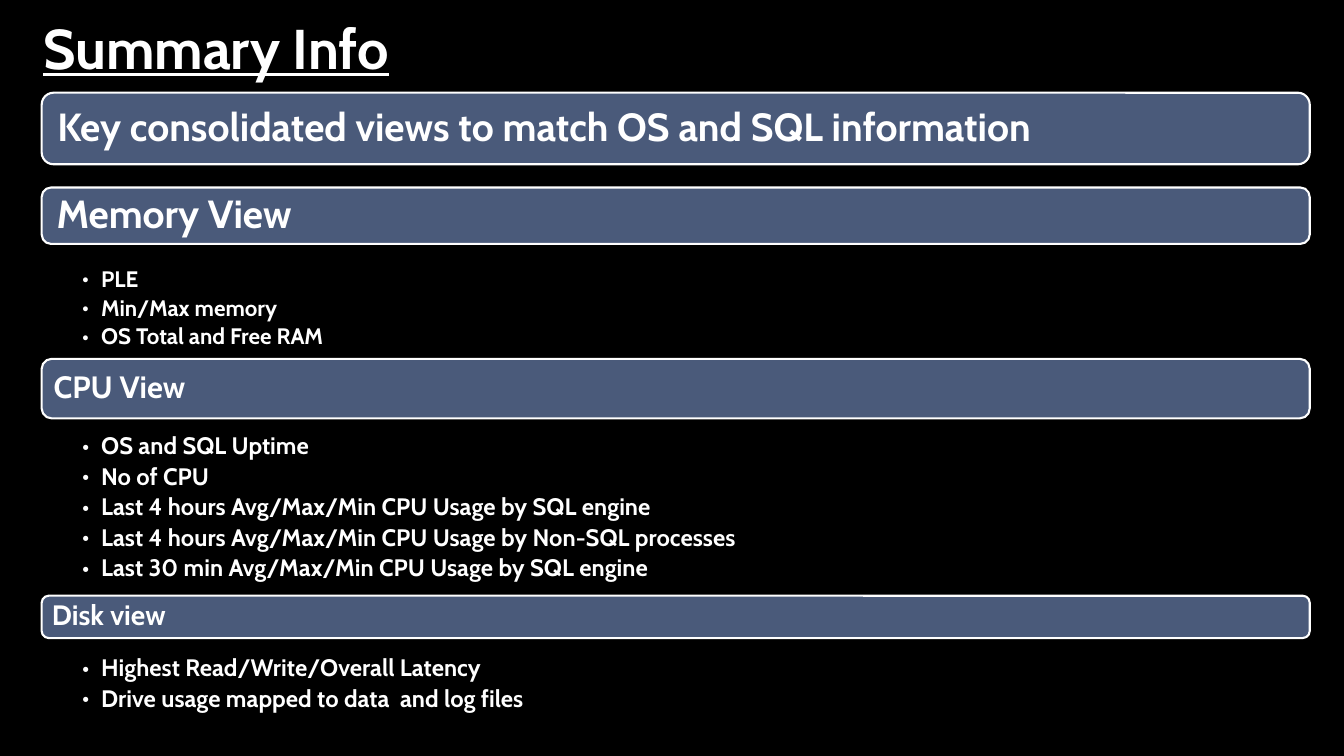
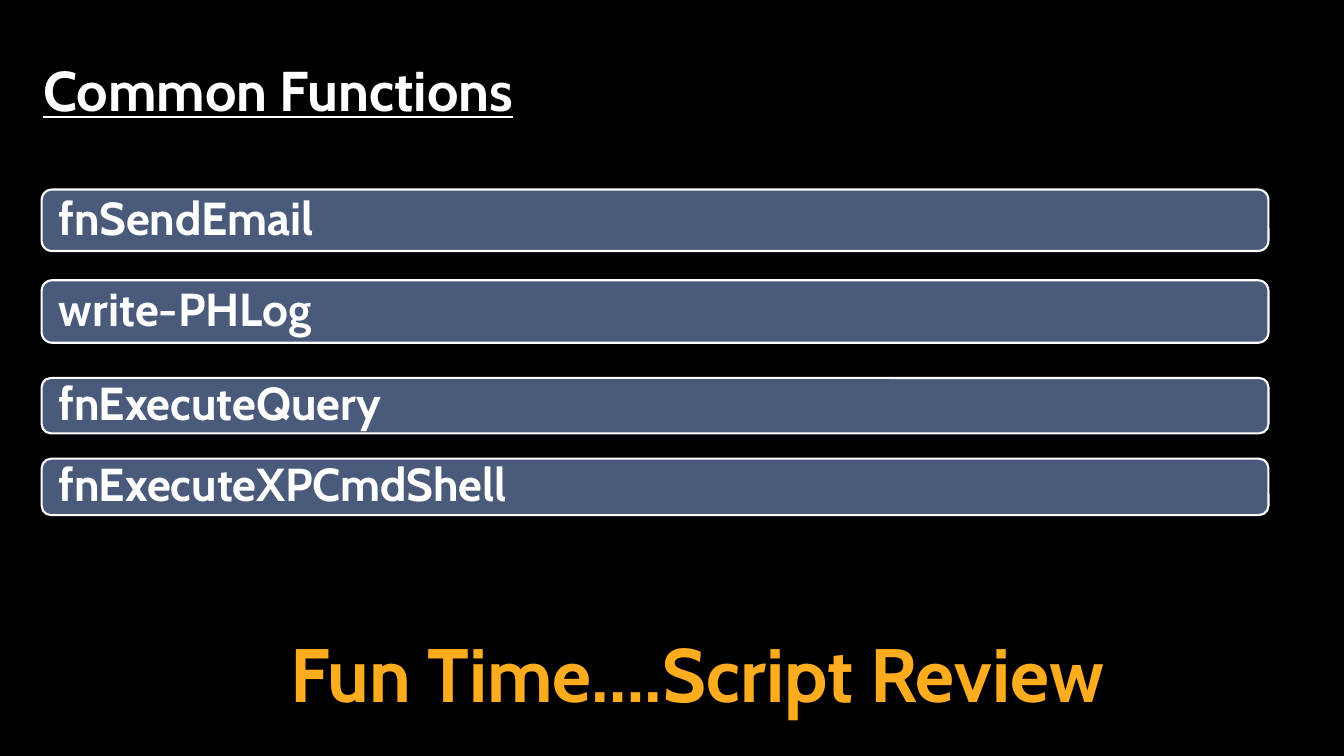
import lxml.etree
import pptx
import pptx.dml.color
import pptx.enum.shapes
import pptx.enum.text
import pptx.oxml.ns
import pptx.util

WHITE = pptx.dml.color.RGBColor(0xFF, 0xFF, 0xFF)
BLACK = pptx.dml.color.RGBColor(0x00, 0x00, 0x00)
SLATE = pptx.dml.color.RGBColor(0x4A, 0x5A, 0x7A)
AMBER = pptx.dml.color.RGBColor(0xFF, 0xAD, 0x1E)
FONT = "Cabin"
WIDTH, HEIGHT = pptx.util.Inches(13.33), pptx.util.Inches(7.5)
BULLET_INDENT = pptx.util.Inches(0.19)
MARGIN = 3.1  # positions and sizes are percentages of the slide

# Each section: heading, top, height, font size, left inset in inches, bullets
# Bullets: top, height, font size, lines
SUMMARY = [
    ("Key consolidated views to match OS and SQL information", 12.27, 9.47, 28, 0.12, None),
    ("Memory View", 24.8, 7.47, 28, 0.12,
     (35.07, 14.27, 16, ["PLE", "Min/Max memory", "OS Total and Free RAM"])),
    ("CPU View", 47.47, 7.87, 22, 0.09,
     (57.07, 25.87, 17, ["OS and SQL Uptime", "No of CPU",
                         "Last 4 hours Avg/Max/Min CPU Usage by SQL engine",
                         "Last 4 hours Avg/Max/Min CPU Usage by Non-SQL processes",
                         "Last 30 min Avg/Max/Min CPU Usage by SQL engine"])),
    ("Disk view", 78.8, 5.6, 20, 0.08,
     (86.4, 10.27, 17, ["Highest Read/Write/Overall Latency",
                        "Drive usage mapped to data  and log files"])),
]
FUNCTIONS = [
    ("fnSendEmail", 25.07, 8.13, 33, 0.14, None),
    ("write-PHLog", 37.07, 8.27, 33, 0.14, None),
    ("fnExecuteQuery", 50, 7.33, 33, 0.14, None),
    ("fnExecuteXPCmdShell", 60.67, 7.47, 33, 0.14, None),
]
# Each slide: title, title top, section width, sections
SLIDES = [
    ("Summary Info", 1.07, 94.35, SUMMARY),
    ("Common Functions", 6.67, 91.28, FUNCTIONS),
]


def place(left, top, width, height):
    """Turn percentages of the slide into lengths."""
    return (int(WIDTH * left / 100), int(HEIGHT * top / 100),
            int(WIDTH * width / 100), int(HEIGHT * height / 100))


def write(shape, lines, size, color=WHITE, bulleted=False):
    """Fill the shape with bold lines and return its paragraphs."""
    frame = shape.text_frame
    frame.word_wrap = True
    frame.text = "\n".join(lines)
    for paragraph in frame.paragraphs:
        paragraph.alignment = pptx.enum.text.PP_ALIGN.LEFT
        if bulleted:
            paragraph.level = 1
            paragraph.line_spacing = 0.9
            paragraph.space_after = pptx.util.Pt(size * 0.2)
            properties = paragraph._p.get_or_add_pPr()
            properties.set("marL", str(BULLET_INDENT))
            properties.set("indent", str(-BULLET_INDENT))
            bullet_color = lxml.etree.SubElement(properties, pptx.oxml.ns.qn("a:buClr"))
            lxml.etree.SubElement(bullet_color, pptx.oxml.ns.qn("a:srgbClr"), val=str(color))
            lxml.etree.SubElement(properties, pptx.oxml.ns.qn("a:buFont"), typeface=FONT)
            lxml.etree.SubElement(properties, pptx.oxml.ns.qn("a:buChar"), char="•")
        paragraph.font.name = FONT
        paragraph.font.size = pptx.util.Pt(size)
        paragraph.font.bold = True
        paragraph.font.color.rgb = color
    return frame.paragraphs


deck = pptx.Presentation()
deck.slide_width, deck.slide_height = WIDTH, HEIGHT
backdrop = deck.slide_master.background.fill
backdrop.solid()
backdrop.fore_color.rgb = BLACK

for title, title_top, section_width, sections in SLIDES:
    slide = deck.slides.add_slide(deck.slide_layouts[6])
    heading = slide.shapes.add_textbox(*place(2.48, title_top, 84, 7.73))
    heading_line = write(heading, [title], 40)[0]
    heading_line.space_before = pptx.util.Pt(4)
    heading_line.font.underline = True

    for name, top, height, size, inset, bullets in sections:
        band = slide.shapes.add_shape(
            pptx.enum.shapes.MSO_SHAPE.ROUNDED_RECTANGLE,
            *place(MARGIN, top, section_width, height))
        band.shadow.inherit = False
        band.fill.solid()
        band.fill.fore_color.rgb = SLATE
        band.line.color.rgb = WHITE
        band.line.width = pptx.util.Pt(1.5)
        band.text_frame.margin_left = pptx.util.Inches(inset)
        band.text_frame.margin_top = band.text_frame.margin_bottom = 0
        band.text_frame.vertical_anchor = pptx.enum.text.MSO_ANCHOR.MIDDLE
        write(band, [name], size)[0].line_spacing = 0.9

        if bullets:
            bullets_top, bullets_height, bullets_size, lines = bullets
            details = slide.shapes.add_textbox(
                *place(MARGIN, bullets_top, section_width, bullets_height))
            details.text_frame.margin_left = pptx.util.Inches(0.4)
            details.text_frame.margin_top = pptx.util.Inches(0.03)
            details.text_frame.margin_bottom = pptx.util.Inches(0.03)
            write(details, lines, bullets_size, bulleted=True)

closing = slide.shapes.add_textbox(*place(19.95, 82.27, 63.83, 13.47))
closing_line = write(closing, ["Fun Time….Script Review"], 54, AMBER)[0]
closing_line.alignment = pptx.enum.text.PP_ALIGN.CENTER
closing.text_frame.word_wrap = False

deck.save("out.pptx")
